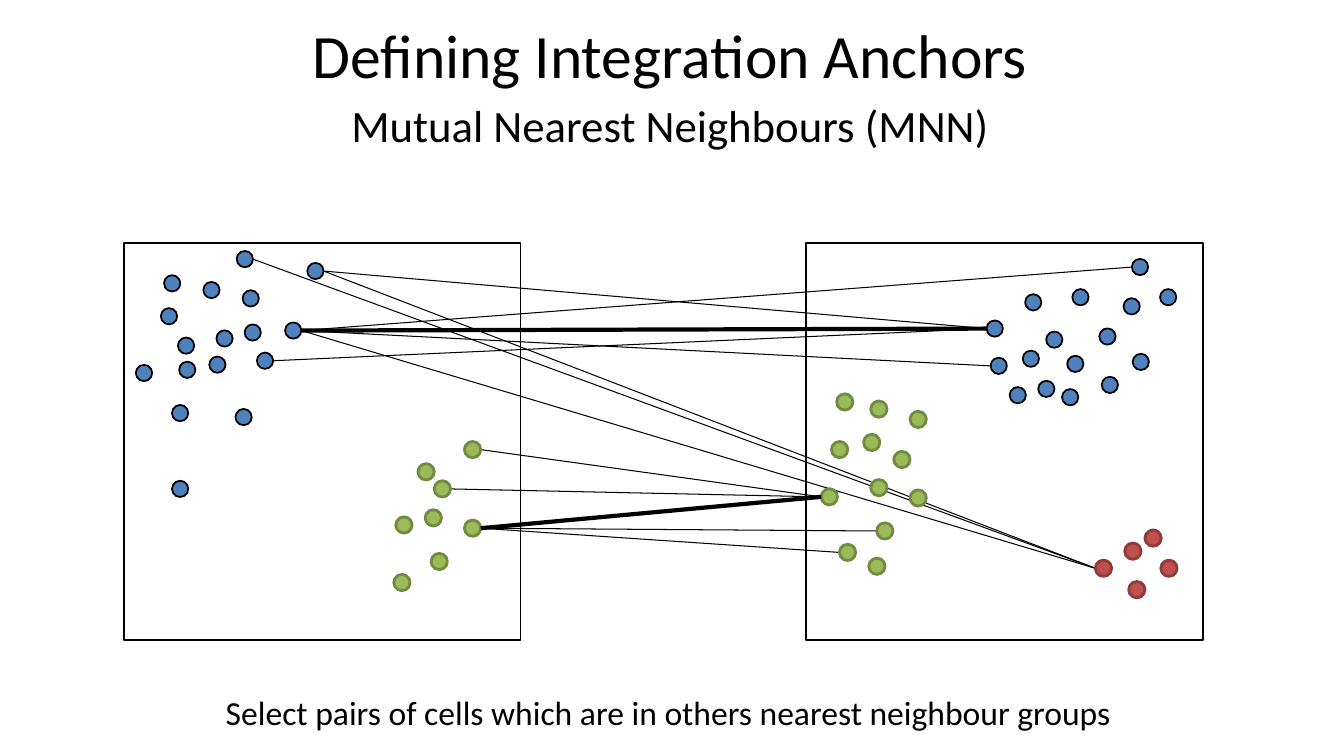
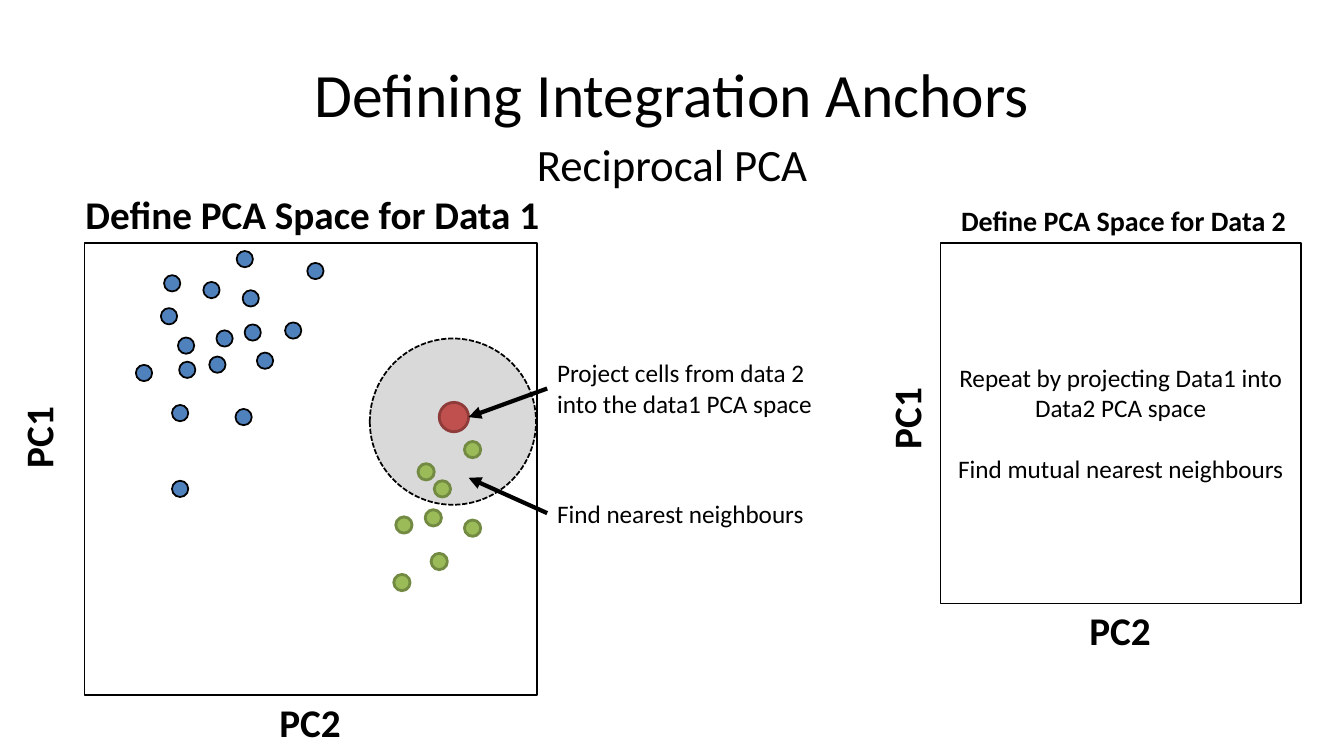
import dataclasses

import lxml.etree
import pptx
import pptx.dml.color
import pptx.enum.dml
import pptx.enum.shapes
import pptx.enum.text
import pptx.oxml.ns
import pptx.util

Cm, Pt = pptx.util.Cm, pptx.util.Pt
RGB = pptx.dml.color.RGBColor.from_string
SHAPE = pptx.enum.shapes.MSO_SHAPE
ALIGN = pptx.enum.text.PP_ALIGN
qn = pptx.oxml.ns.qn


@dataclasses.dataclass(frozen=True)
class Theme:
    font: str = "Calibri"
    ink: str = "000000"
    paper: str = "FFFFFF"
    halo: str = "D9D9D9"
    # cell type: fill, outline, outline width
    cells: tuple = (("blue", ("4F81BD", "000000", 1.25)),
                    ("green", ("9BBB59", "738A42", 2)),
                    ("red", ("C0504D", "8E3B39", 2)))
    title: int = 44
    subtitle: int = 32
    label: int = 28
    caption: int = 24
    small_label: int = 20
    note: int = 18
    thin: float = 0.75
    outline: float = 1.25
    thick: float = 3


THEME = Theme()
CELL_STYLE = dict(THEME.cells)
DOT = 0.41
PANEL_TOP = 6.12

# Cell centres in cm from the top left corner of their panel
DATA_1 = {
    "blue": [(1.22, 1.02), (1.14, 1.85), (2.21, 1.19), (1.6, 3.2), (2.54, 2.41),
             (3.2, 1.4), (0.51, 3.28), (2.36, 3.07), (4.83, 0.71), (4.27, 2.21),
             (3.02, 4.39), (3.56, 2.97), (1.42, 6.2), (1.42, 4.29), (3.25, 2.26),
             (3.05, 0.41), (1.57, 2.59)],
    "green": [(7.62, 5.77), (8.03, 6.2), (7.06, 7.11), (7.8, 6.93), (7.95, 8.03),
              (8.79, 5.21), (8.79, 7.19), (7.01, 8.56)],
}
DATA_2 = {
    "blue": [(4.85, 3.1), (5.33, 3.84), (4.75, 2.16), (9.12, 1.37), (5.66, 2.92),
             (6.25, 2.44), (6.65, 3.89), (6.91, 1.37), (7.59, 2.36), (8.43, 3),
             (6.78, 3.05), (7.65, 3.58), (8.41, 0.61), (8.2, 1.6), (5.72, 1.5),
             (6.05, 3.68)],
    "green": [(1.65, 5.03), (2.41, 5.46), (0.97, 4.01), (1.83, 6.17), (1.98, 7.26),
              (2.82, 4.45), (2.82, 6.43), (1.04, 7.8), (0.84, 5.21), (1.83, 4.19),
              (0.58, 6.4), (1.78, 8.15)],
    "red": [(7.49, 8.2), (8.23, 7.77), (8.33, 8.74), (8.74, 7.44), (9.14, 8.2)],
}

# Nearest neighbours as (data 1 cell, data 2 cell); a cell is (type, index)
FROM_DATA_1 = [(("blue", 9), ("blue", 12)), (("blue", 9), ("blue", 2)),
               (("blue", 9), ("blue", 0)), (("green", 6), ("green", 10)),
               (("green", 6), ("green", 4)), (("green", 6), ("green", 7))]
FROM_DATA_2 = [(("blue", 15), ("red", 0)), (("blue", 8), ("red", 0)),
               (("blue", 9), ("red", 0)), (("blue", 8), ("blue", 2)),
               (("blue", 11), ("blue", 2)), (("blue", 9), ("blue", 2)),
               (("green", 5), ("green", 10)), (("green", 1), ("green", 10)),
               (("green", 6), ("green", 10))]


# Basic parts
def write(tf, text, size=THEME.note, bold=False, align=None, wrap=True, gap=None):
    """Fill a text frame, one paragraph per line of text."""
    tf.word_wrap = wrap
    for i, line in enumerate(text.split("\n")):
        p = tf.paragraphs[0] if i == 0 else tf.add_paragraph()
        p.alignment = align
        if i and gap:
            p.space_before = Pt(gap)
        r = p.add_run()
        r.text = line
        r.font.name, r.font.size, r.font.bold = THEME.font, Pt(size), bold
        r.font.color.rgb = RGB(THEME.ink)


def place(sp, x, y, w, h):
    sp.left, sp.top, sp.width, sp.height = Cm(x), Cm(y), Cm(w), Cm(h)


def add_text(slide, box, text, rotation=0, **fmt):
    sp = slide.shapes.add_textbox(*map(Cm, box))
    write(sp.text_frame, text, **fmt)
    sp.text_frame.auto_size = pptx.enum.text.MSO_AUTO_SIZE.SHAPE_TO_FIT_TEXT
    place(sp, *box)
    sp.rotation = rotation
    return sp


def add_shape(slide, kind, box, fill, line, width):
    sp = slide.shapes.add_shape(kind, *map(Cm, box))
    sp.shadow.inherit = False
    sp.fill.solid()
    sp.fill.fore_color.rgb = RGB(fill)
    sp.line.color.rgb = RGB(line)
    sp.line.width = Pt(width)
    return sp


def add_line(slide, start, end, width, arrow=False):
    c = slide.shapes.add_connector(pptx.enum.shapes.MSO_CONNECTOR.STRAIGHT,
                                   *map(Cm, start + end))
    c.line.color.rgb = RGB(THEME.ink)
    c.line.width = Pt(width)
    spPr = c._element.spPr
    if arrow:
        lxml.etree.SubElement(spPr.find(qn("a:ln")), qn("a:tailEnd"), type="triangle")
    lxml.etree.SubElement(spPr, qn("a:effectLst"))
    return c


def add_dot(slide, x, y, kind, size=DOT):
    return add_shape(slide, SHAPE.OVAL, (x - size / 2, y - size / 2, size, size),
                     *CELL_STYLE[kind])


def add_panel(slide, x, y, size):
    return add_shape(slide, SHAPE.RECTANGLE, (x, y, size, size),
                     THEME.paper, THEME.ink, THEME.outline)


# Regions
def add_heading(prs, subtitle, x, y, subtitle_h):
    slide = prs.slides.add_slide(prs.slide_layouts[1])
    title, body = slide.placeholders
    place(title, x, y, 30.48, 3.18)
    write(title.text_frame, "Defining Integration Anchors",
          size=THEME.title, align=ALIGN.CENTER)
    place(body, x, y + 2.57, 30.48, subtitle_h)
    write(body.text_frame, subtitle, size=THEME.subtitle, align=ALIGN.CENTER)
    pPr = body.text_frame.paragraphs[0]._p.get_or_add_pPr()
    pPr.set("marL", "0")
    pPr.set("indent", "0")
    lxml.etree.SubElement(pPr, qn("a:buNone"))
    return slide


def add_cells(slide, x, y, data):
    for kind, centres in data.items():
        for dx, dy in centres:
            add_dot(slide, x + dx, y + dy, kind)


def add_links(slide, left_x, right_x, y, links, width):
    for (kind_1, i), (kind_2, j) in links:
        x1, y1 = DATA_1[kind_1][i]
        x2, y2 = DATA_2[kind_2][j]
        add_line(slide, (left_x + x1 + DOT / 2, y + y1),
                 (right_x + x2 - DOT / 2, y + y2), width)


def add_pca_space(slide, x, y, size, heading, heading_size, heading_box, pc1_centre):
    """Panel with a heading above it and its two axis names."""
    panel = add_panel(slide, x, y, size)
    mid, w, h = x + size / 2, 2.08, 1.45
    axis = dict(size=THEME.label, bold=True, wrap=False)
    dx, dy = pc1_centre
    add_text(slide, (x + dx - w / 2, y + dy - h / 2, w, h), "PC1", rotation=270, **axis)
    add_text(slide, (mid - w / 2, y + size - 0.05, w, h), "PC2", **axis)
    hw, hh = heading_box
    add_text(slide, (mid - hw / 2 + 0.12, y - hh, hw, hh), heading,
             size=heading_size, bold=True, wrap=False)
    return panel


def add_callout(slide, x, y, h, text, target):
    sp = add_text(slide, (x, y, 7.16, h), text)
    c = add_line(slide, (x, y + h / 2), target, THEME.thick, arrow=True)
    c.begin_connect(sp, 1)


# Slides
def mutual_neighbours_slide(prs):
    slide = add_heading(prs, "Mutual Nearest Neighbours (MNN)", 1.65, -0.23, 1.63)
    left_x, right_x, y = 3.12, 20.32, PANEL_TOP
    for x in (left_x, right_x):
        add_panel(slide, x, y, 10)
    add_links(slide, left_x, right_x, y, FROM_DATA_2 + FROM_DATA_1, THEME.thin)
    add_cells(slide, left_x, y, DATA_1)
    add_cells(slide, right_x, y, DATA_2)
    mutual = [link for link in FROM_DATA_1 if link in FROM_DATA_2]
    add_links(slide, left_x, right_x, y, mutual, THEME.thick)
    add_text(slide, (5.44, 17.3, 23.04, 1.27),
             "Select pairs of cells which are in others nearest neighbour groups",
             size=THEME.caption, wrap=False)


def reciprocal_pca_slide(prs):
    slide = add_heading(prs, "Reciprocal PCA", 1.7, 0.76, 2.08)

    # Data 1 space with the projected cell and its neighbourhood
    x, y = 2.13, PANEL_TOP
    add_pca_space(slide, x, y, 11.4, "Define PCA Space for Data 1",
                  THEME.label, (12.09, 1.45), (-1.17, 4.89))
    halo = add_shape(slide, SHAPE.OVAL, (x + 7.19, y + 2.41, 4.19, 4.19),
                     THEME.halo, THEME.ink, THEME.outline)
    halo.line.dash_style = pptx.enum.dml.MSO_LINE.SQUARE_DOT
    add_cells(slide, x + 0.99, y, DATA_1)
    add_dot(slide, x + 9.31, y + 4.39, "red", size=0.74)
    add_callout(slide, x + 11.66, y + 2.77, 1.8,
                "Project cells from data 2 into the data1 PCA space",
                (x + 9.68, y + 4.39))
    add_callout(slide, x + 11.66, y + 6.3, 1.02, "Find nearest neighbours",
                (x + 9.68, y + 5.92))

    # Data 2 space with the repeat instruction
    panel = add_pca_space(slide, 23.7, y, 9.09, "Define PCA Space for Data 2",
                          THEME.small_label, (8.79, 1.12), (-0.87, 4.41))
    panel.text_frame.vertical_anchor = pptx.enum.text.MSO_ANCHOR.MIDDLE
    write(panel.text_frame, "Repeat by projecting Data1 into Data2 PCA space\n"
          "Find mutual nearest neighbours", align=ALIGN.CENTER, gap=22)


def main():
    prs = pptx.Presentation()
    prs.slide_width, prs.slide_height = Cm(33.87), Cm(19.05)
    mutual_neighbours_slide(prs)
    reciprocal_pca_slide(prs)
    prs.save("out.pptx")


if __name__ == "__main__":
    main()
